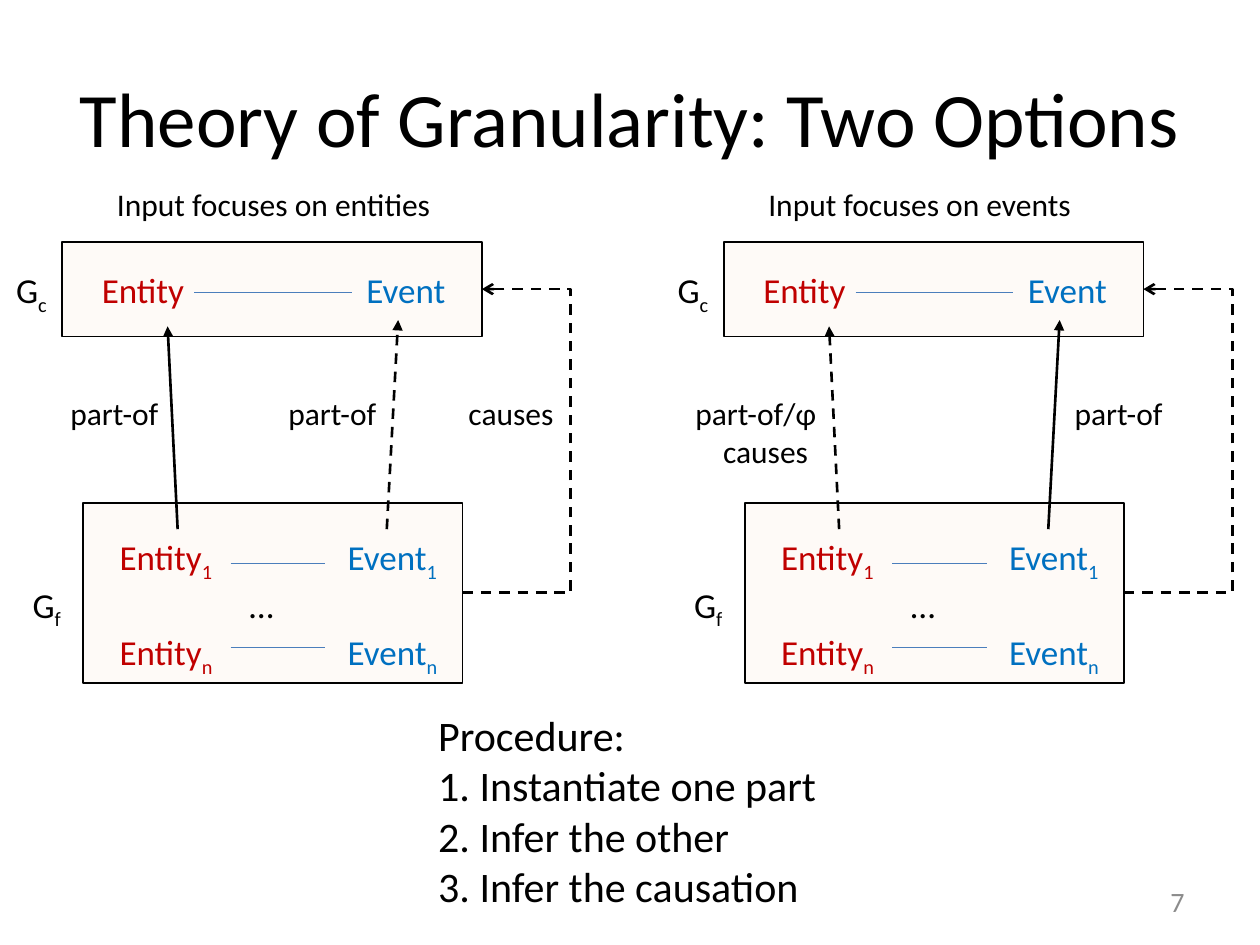
from dataclasses import dataclass

from lxml import etree
from pptx import Presentation
from pptx import util as u
from pptx.dml.color import RGBColor
from pptx.enum import dml, shapes, text
from pptx.oxml.ns import qn

COLS, ROWS = 100, 75  # grid over the slide; every length below is in its cells
CELL = u.Inches(0.1)
PANEL_STEP = 52.5


@dataclass(frozen=True)
class Theme:
    font: str = "Calibri"
    ink: str = "000000"
    entity: str = "C00000"
    event: str = "0070C0"
    relation: str = "4B7EBC"
    box: str = "FDEADA"
    muted: str = "8C8C8C"
    title: int = 44
    procedure: int = 24
    label: int = 20
    note: int = 18
    number: int = 16
    thin: float = 0.75
    outline: float = 1
    arrow: float = 1.5


T = Theme()


def cells(*values):
    return [u.Emu(round(v * CELL)) for v in values]


def set_values(target, values):
    for name, value in values.items():
        setattr(target, name, value)


def add_run(p, content, size, color=T.ink, sub=False):
    r = p.add_run()
    r.text = content
    set_values(r.font, {"name": T.font, "size": u.Pt(size)})
    r.font.color.rgb = RGBColor.from_string(color)
    if sub:
        r._r.get_or_add_rPr().set("baseline", "-25000")


def set_tabs(p, stops):
    tabs = etree.SubElement(p._p.get_or_add_pPr(), qn("a:tabLst"))
    for stop in cells(*stops):
        etree.SubElement(tabs, qn("a:tab"), pos=str(stop), algn="l")


def add_text(s, at, lines, size, stops=(), wrap=True, align=None):
    """Each line is a string or a list of add_run arguments after the size."""
    tf = s.shapes.add_textbox(*cells(*at)).text_frame
    tf.word_wrap = wrap
    for i, line in enumerate(lines):
        p = tf.paragraphs[0] if i == 0 else tf.add_paragraph()
        p.alignment = align
        if stops:
            set_tabs(p, stops[i])
        for content, *style in [(line,)] if isinstance(line, str) else line:
            add_run(p, content, size, *style)
    return tf


def add_box(s, *at):
    sp = s.shapes.add_shape(shapes.MSO_SHAPE.FLOWCHART_PROCESS, *cells(*at))
    sp.shadow.inherit = False
    sp.fill.solid()
    sp.fill.fore_color.rgb = RGBColor.from_string(T.box)
    tint = sp._element.spPr.find(qn("a:solidFill"))[0]
    etree.SubElement(tint, qn("a:alpha"), val="20000")
    sp.line.color.rgb = RGBColor.from_string(T.ink)
    sp.line.width = u.Pt(T.outline)
    return sp


def add_line(s, start, end, color=T.ink, width=T.arrow, dashed=False,
             head=None, kind=shapes.MSO_CONNECTOR.STRAIGHT):
    """head is the arrowhead type at the end point."""
    c = s.shapes.add_connector(kind, *cells(*start, *end))
    c.line.color.rgb = RGBColor.from_string(color)
    c.line.width = u.Pt(width)
    if dashed:
        c.line.dash_style = dml.MSO_LINE.DASH
    if head:
        etree.SubElement(c.line._get_or_add_ln(), qn("a:tailEnd"), type=head)
    etree.SubElement(c._element.spPr, qn("a:effectLst"))
    return c


def add_causation(s, fine, coarse, bend):
    """Dashed elbow from the fine box out to column bend and back to the coarse box."""
    c = add_line(s, (0, 1), (1, 0), dashed=True, head="arrow",
                 kind=shapes.MSO_CONNECTOR.ELBOW)
    c.begin_connect(fine, 3)
    c.end_connect(coarse, 3)
    share = (cells(bend)[0] - c.begin_x) / (c.end_x - c.begin_x)
    guides = c._element.spPr.find(qn("a:prstGeom")).get_or_add_avLst()
    etree.SubElement(guides, qn("a:gd"), name="adj1",
                     fmla=f"val {round(share * 100000)}")


def pair(index):
    return [("\tEntity", T.entity), (index, T.entity, True),
            ("\tEvent", T.event), (index, T.event, True)]


def add_panel(s, x, heading, heading_at, entity_dashed):
    """Coarse level over fine level; the inferred part-of arrow is dashed."""
    add_text(s, heading_at, [heading], T.note, wrap=False)
    fine = add_box(s, x + 6.6, 39.9, 30.1, 14.3)
    coarse = add_box(s, x + 4.95, 19.2, 33.3, 7.5)
    add_text(s, (x + 0.3, 20.8, 41.6, 6.6),
             [[("G",), ("c", T.ink, True), ("\tEntity", T.entity), ("\tEvent", T.event)]],
             T.label, stops=[(6.8, 27.8)])
    add_text(s, (x + 1.6, 42, 40.8, 11.1),
             [pair("1"), [("G",), ("f", T.ink, True), ("\t…",)], pair("n")],
             T.label, stops=[(6.9, 25), (17.2,), (6.9, 25)])
    for left, right, y in ((15.4, 27.9, 23.2), (18.3, 25.8, 44.7), (18.3, 25.8, 51.4)):
        add_line(s, (x + left, y), (x + right, y), T.relation, T.thin)
    add_line(s, (x + 14.1, 42), (x + 13.3, 25.9), dashed=entity_dashed, head="triangle")
    add_line(s, (x + 30.7, 42), (x + 31.6, 25.4), dashed=not entity_dashed, head="triangle")
    add_causation(s, fine, coarse, x + 45.3)


def add_title(s, content):
    title = s.shapes.title
    set_values(title, dict(zip(("left", "top", "width", "height"), cells(5, 3, 90, 12.5))))
    tf = title.text_frame
    tf.vertical_anchor = text.MSO_ANCHOR.MIDDLE
    tf.paragraphs[0].alignment = text.PP_ALIGN.CENTER
    add_run(tf.paragraphs[0], content, T.title)


def main():
    prs = Presentation()
    prs.slide_width, prs.slide_height = cells(COLS, ROWS)
    s = prs.slides.add_slide(prs.slide_layouts[5])
    add_title(s, "Theory of Granularity: Two Options")
    add_panel(s, 0, "Input focuses on entities", (8.3, 14.2, 27.2, 4), False)
    add_panel(s, PANEL_STEP, "Input focuses on events", (60, 14.2, 26.3, 4), True)
    add_text(s, (4.6, 30.8, 40.9, 4), ["part-of\tpart-of\tcauses"], T.note,
             stops=[(17.3, 31.6)])
    add_text(s, (54.2, 30.8, 43.9, 7), ["part-of/φ\tpart-of", "\tcauses"], T.note,
             stops=[(30.1,), (2.2,)])
    add_text(s, (33.8, 55.8, 32.3, 17.2),
             ["Procedure:", "1. Instantiate one part", "2. Infer the other",
              "3. Infer the causation"], T.procedure, wrap=False)
    number = add_text(s, (71.7, 69.5, 23.3, 4), ["7"], T.number, align=text.PP_ALIGN.RIGHT)
    number.vertical_anchor = text.MSO_ANCHOR.MIDDLE
    number.paragraphs[0].runs[0].font.color.rgb = RGBColor.from_string(T.muted)
    prs.save("out.pptx")


if __name__ == "__main__":
    main()
